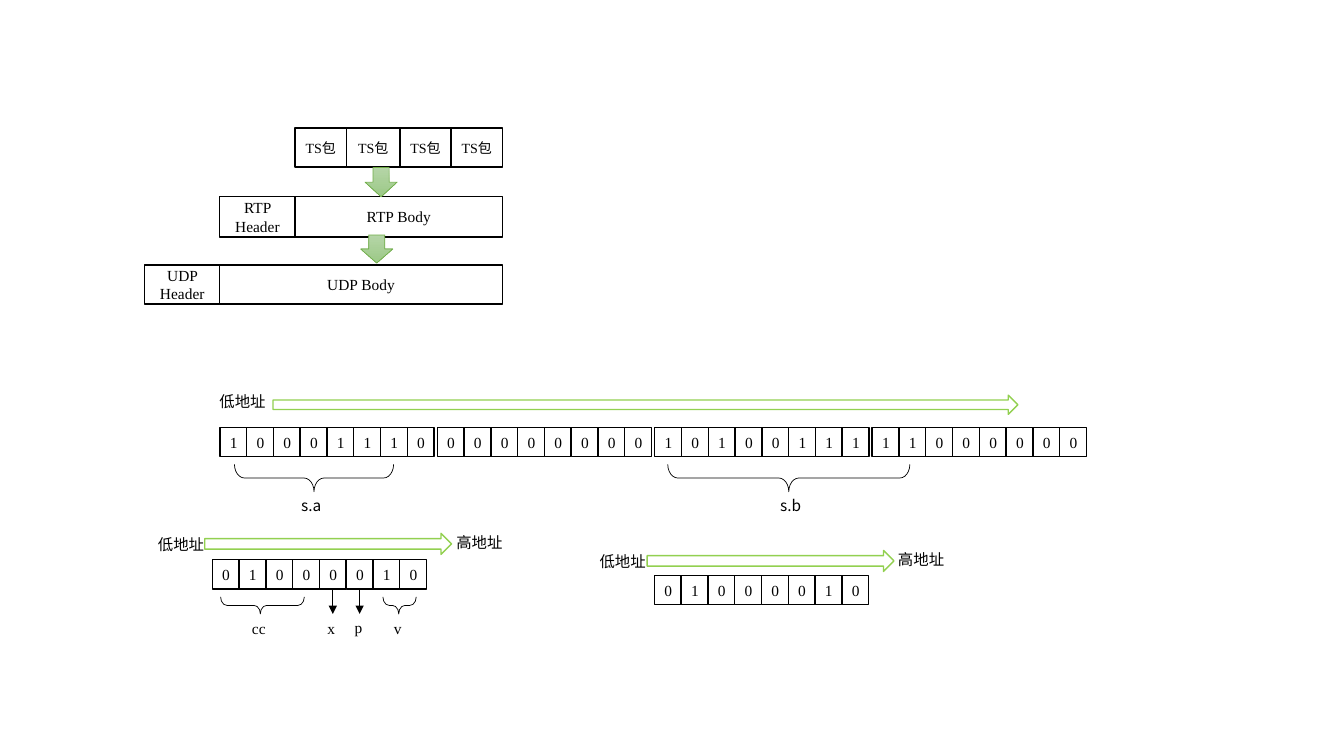
from dataclasses import dataclass

from lxml.etree import SubElement
from pptx import Presentation
from pptx.dml.color import RGBColor
from pptx.enum.shapes import MSO_CONNECTOR, MSO_SHAPE
from pptx.enum.text import MSO_ANCHOR, PP_ALIGN
from pptx.oxml.ns import qn
from pptx.shapes.autoshape import Shape
from pptx.slide import Slide
from pptx.text.text import TextFrame
from pptx.util import Cm, Pt

SERIF, SANS = "Times New Roman", "Noto Sans CJK SC"
BLACK, WHITE, LIME, GREEN = "000000", "FFFFFF", "92D050", "70AD47"
PACKET_RIGHT = 12.66
BYTE_WIDTH, BYTE_GAP, BIT_HEIGHT = 5.4, 0.08, 0.74
BIT_WIDTH = BYTE_WIDTH / 8


@dataclass
class PacketRow:
    """Adjoining cells that end at the common right edge."""
    top: float
    height: float
    size: int
    cells: list[tuple[str, float]]


@dataclass
class BitRow:
    left: float
    top: float
    octets: list[str]


@dataclass
class Label:
    text: str
    left: float
    top: float
    width: float
    font: str = SANS


@dataclass
class Arrow:
    left: float
    top: float
    width: float
    height: float


@dataclass
class Brace:
    """Downward brace: span is its width and depth its height as seen."""
    left: float
    top: float
    span: float
    depth: float
    tip: float


PACKETS = [
    PacketRow(3.23, 0.98, 10, [("TS包", 1.29), ("TS包", 1.35), ("TS包", 1.29), ("TS包", 1.29)]),
    PacketRow(4.95, 1.02, 11, [("RTP Header", 1.9), ("RTP Body", 5.22)]),
    PacketRow(6.68, 0.98, 11, [("UDP Header", 1.89), ("UDP Body", 7.12)]),
]
DOWN_ARROWS = [Arrow(9.2, 4.22, 0.81, 0.74), Arrow(9.09, 5.92, 0.81, 0.71)]
FIELD_BITS = BitRow(5.35, 14.1, ["01000010"])
BIT_ROWS = [
    BitRow(5.54, 10.77, ["10001110", "00000000", "10100111", "11000000"]),
    FIELD_BITS,
    BitRow(16.49, 14.5, ["01000010"]),
]
ADDRESS_ARROWS = [
    Arrow(6.88, 9.96, 18.77, 0.48),
    Arrow(5.16, 13.44, 6.22, 0.53),
    Arrow(16.31, 13.87, 6.22, 0.53),
]
BRACES = [
    Brace(5.91, 11.7, 4.01, 0.69, 0.5),
    Brace(16.83, 11.7, 6.1, 0.69, 0.5),
    Brace(5.56, 15.04, 2.11, 0.43, 0.475),
    Brace(9.65, 15.04, 0.84, 0.43, 0.475),
]
LABELS = [
    Label("低地址", 5.28, 9.75, 1.98),
    Label("s.a", 7.34, 12.37, 1.12),
    Label("s.b", 19.41, 12.37, 1.12),
    Label("低地址", 3.73, 13.36, 1.98),
    Label("高地址", 11.25, 13.31, 1.73),
    Label("低地址", 14.86, 13.79, 1.98),
    Label("高地址", 22.38, 13.74, 1.73),
    Label("cc", 6.1, 15.47, 0.94, SERIF),
    Label("x", 8, 15.47, 0.71, SERIF),
    Label("p", 8.69, 15.44, 0.81, SERIF),
    Label("v", 9.68, 15.47, 0.81, SERIF),
]


def color(value: str) -> RGBColor:
    return RGBColor.from_string(value)


def write(frame: TextFrame, text: str, size: int, font: str, align: PP_ALIGN) -> None:
    frame.word_wrap = True
    para = frame.paragraphs[0]
    para.alignment = align
    span = para.add_run()
    span.text = text
    span.font.size = Pt(size)
    span.font.name = font
    span.font.color.rgb = color(BLACK)
    SubElement(span.font._element, qn("a:ea"), typeface=SANS)


def add_outline(page: Slide, kind: MSO_SHAPE, area: Arrow, line: str, weight: float) -> Shape:
    """Add an unfilled preset shape without a shadow."""
    shape = page.shapes.add_shape(
        kind, Cm(area.left), Cm(area.top), Cm(area.width), Cm(area.height))
    shape.shadow.inherit = False
    shape.fill.background()
    shape.line.color.rgb = color(line)
    shape.line.width = Pt(weight)
    return shape


def add_cell(page: Slide, text: str, area: Arrow, size: int) -> None:
    box = add_outline(page, MSO_SHAPE.RECTANGLE, area, BLACK, 1)
    box.fill.solid()
    box.fill.fore_color.rgb = color(WHITE)
    box.text_frame.vertical_anchor = MSO_ANCHOR.MIDDLE
    write(box.text_frame, text, size, SERIF, PP_ALIGN.CENTER)


def add_packet_row(page: Slide, row: PacketRow) -> None:
    left = PACKET_RIGHT - sum(width for _, width in row.cells)
    for text, width in row.cells:
        add_cell(page, text, Arrow(left, row.top, width, row.height), row.size)
        left += width


def add_bit_row(page: Slide, row: BitRow) -> None:
    for octet_index, octet in enumerate(row.octets):
        octet_left = row.left + octet_index * (BYTE_WIDTH + BYTE_GAP)
        for bit_index, bit in enumerate(octet):
            left = octet_left + bit_index * BIT_WIDTH
            add_cell(page, bit, Arrow(left, row.top, BIT_WIDTH, BIT_HEIGHT), 11)


def add_down_arrow(page: Slide, arrow: Arrow) -> None:
    shape = add_outline(page, MSO_SHAPE.DOWN_ARROW, arrow, GREEN, 0.5)
    shape.fill.gradient()
    shape.fill.gradient_angle = 270
    for stop, shade in zip(shape.fill.gradient_stops, ("B5D5A7", "9CC987")):
        stop.color.rgb = color(shade)


def add_brace(page: Slide, brace: Brace) -> None:
    shift = (brace.span - brace.depth) / 2
    area = Arrow(brace.left + shift, brace.top - shift, brace.depth, brace.span)
    shape = add_outline(page, MSO_SHAPE.LEFT_BRACE, area, BLACK, 0.5)
    shape.rotation = 270
    shape.adjustments[0] = 0.366
    shape.adjustments[1] = brace.tip


def add_bit_pointer(page: Slide, row: BitRow, bit_index: int) -> None:
    """Add an arrow from the bottom of one bit down to its label."""
    center = Cm(row.left + (bit_index + 0.5) * BIT_WIDTH)
    bottom = row.top + BIT_HEIGHT
    pointer = page.shapes.add_connector(
        MSO_CONNECTOR.STRAIGHT, center, Cm(bottom), center, Cm(bottom + 0.63))
    pointer.line.color.rgb = color(BLACK)
    pointer.line.width = Pt(0.5)
    SubElement(pointer.line._get_or_add_ln(), qn("a:tailEnd"), type="triangle")
    SubElement(pointer._element.spPr, qn("a:effectLst"))


def add_label(page: Slide, label: Label) -> None:
    box = page.shapes.add_textbox(Cm(label.left), Cm(label.top), Cm(label.width), Cm(0.74))
    write(box.text_frame, label.text, 11, label.font, PP_ALIGN.LEFT)


def main() -> None:
    deck = Presentation()
    deck.slide_width, deck.slide_height = Cm(33.87), Cm(19.05)
    page = deck.slides.add_slide(deck.slide_layouts[6])
    for packet_row in PACKETS:
        add_packet_row(page, packet_row)
    for arrow in DOWN_ARROWS:
        add_down_arrow(page, arrow)
    for bit_row in BIT_ROWS:
        add_bit_row(page, bit_row)
    for arrow in ADDRESS_ARROWS:
        add_outline(page, MSO_SHAPE.RIGHT_ARROW, arrow, LIME, 1)
    for brace in BRACES:
        add_brace(page, brace)
    for bit_index in (4, 5):
        add_bit_pointer(page, FIELD_BITS, bit_index)
    for label in LABELS:
        add_label(page, label)
    deck.save("out.pptx")


if __name__ == "__main__":
    main()
